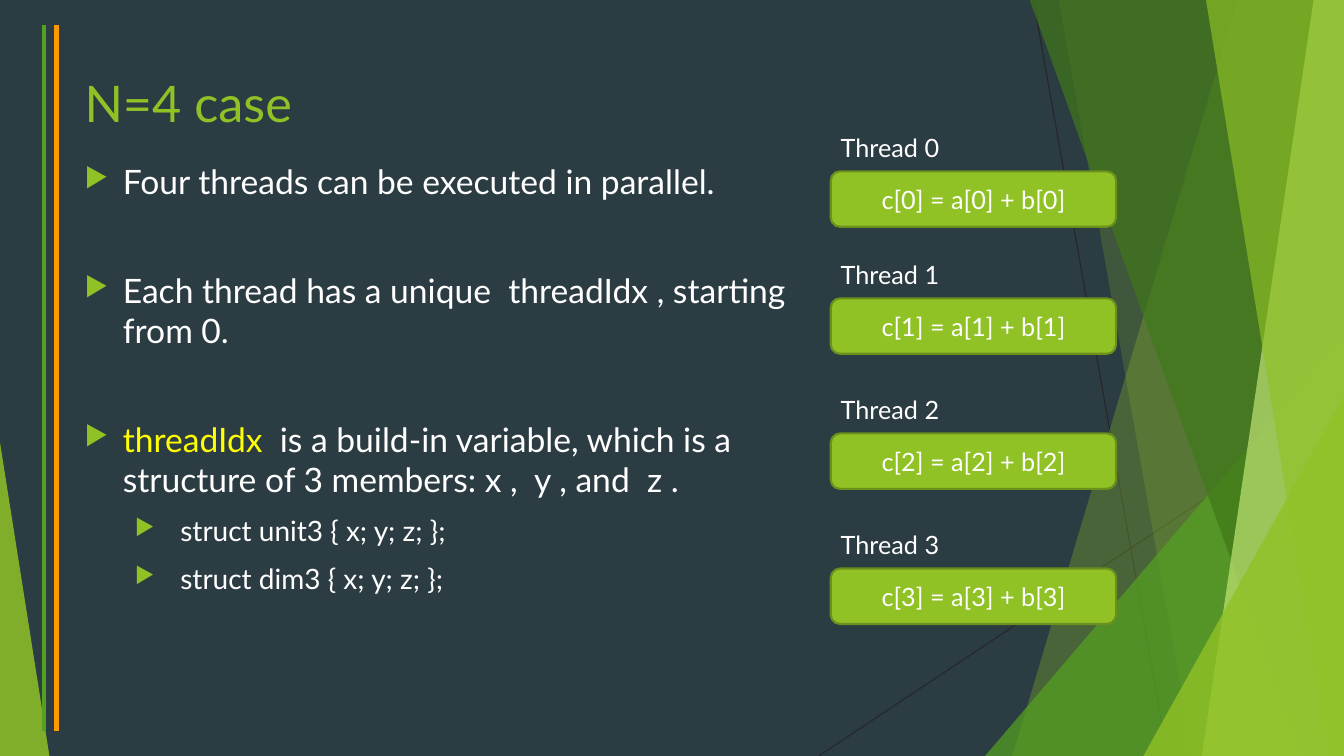
from typing import NamedTuple

from lxml import etree
from pptx import Presentation, util as u
from pptx.dml.color import RGBColor
from pptx.enum import shapes, text
from pptx.oxml.ns import qn

WIDTH, HEIGHT = 13.33, 7.5
FONT = "Lato"
COLOURS = {
    "background": "2C3C43", "lime": "90C226", "green": "54A021",
    "forest": "3F7819", "pale": "C0E474", "border": "6B901C",
    "orange": "FF9900", "yellow": "FFFF00", "white": "FFFFFF", "dark": "262626",
}


class Line(NamedTuple):
    start: tuple[float, float]
    end: tuple[float, float]
    colour: str
    weight: float


class Facet(NamedTuple):
    """A full-height panel between a slanted left side and the right edge."""
    top_x: float
    bottom_x: float
    colour: str
    opacity: int


class Corner(NamedTuple):
    """A right triangle standing on the bottom edge."""
    left: float
    top: float
    width: float
    apex: int
    colour: str
    opacity: int


class Span(NamedTuple):
    words: str
    colour: str = "white"


class Bullet(NamedTuple):
    spans: list[Span]
    size: int = 24
    margin: float = 0.38
    hang: float = 0.38
    before: float = 10


class Thread(NamedTuple):
    number: int
    top: float


SCENERY = [
    Line((10.25, 0), (11.58, HEIGHT), "dark", 0.75),
    Line((WIDTH, 4.03), (8.12, HEIGHT), "dark", 0.75),
    Facet(12.28, 10.04, "lime", 30),
    Facet(10.5, 11.83, "lime", 20),
    Corner(9.77, 3.33, 3.56, 1, "green", 72),
    Facet(10.21, 12.91, "forest", 70),
    Facet(13.03, 11.92, "pale", 70),
    Facet(11.96, 13.18, "lime", 65),
    Corner(11.34, 3.93, 1.99, 1, "lime", 80),
    Corner(0, 4.39, 0.49, 0, "lime", 85),
    Line((0.44, 0.25), (0.44, 7.25), "green", 3),
    Line((0.56, 0.25), (0.56, 7.25), "orange", 3),
]
WIDE_GAP = 48.8
BULLETS = [
    Bullet([Span("Four threads can be executed in parallel.")]),
    Bullet([Span("Each thread has a unique  threadIdx , starting from 0.")],
           before=WIDE_GAP),
    Bullet([Span("threadIdx  ", "yellow"),
            Span("is a build-in variable, which is a structure of 3 members: "
                 "x ,  y , and  z .")], before=WIDE_GAP),
    Bullet([Span("struct unit3 { x; y; z; };")], 20, 0.95, 0.45),
    Bullet([Span("struct dim3 { x; y; z; };")], 20, 0.95, 0.45),
]
THREADS = [Thread(number, top) for number, top in enumerate((1.7, 2.96, 4.3, 5.64))]


def rgb(name: str) -> RGBColor:
    return RGBColor.from_string(COLOURS[name])


def paint(shape, colour: str, opacity: int = 100) -> None:
    shape.shadow.inherit = False
    shape.fill.solid()
    shape.fill.fore_color.rgb = rgb(colour)
    if opacity < 100:
        tint = shape._element.spPr.find(qn("a:solidFill"))[0]
        etree.SubElement(tint, qn("a:alpha"), val=str(opacity * 1000))
    shape.line.fill.background()


def style(span, size: int, colour: str) -> None:
    span.font.name = FONT
    span.font.size = u.Pt(size)
    span.font.color.rgb = rgb(colour)


def draw_line(page, line: Line) -> None:
    ends = [u.Inches(value) for value in line.start + line.end]
    connector = page.shapes.add_connector(shapes.MSO_CONNECTOR.STRAIGHT, *ends)
    connector.line.color.rgb = rgb(line.colour)
    connector.line.width = u.Pt(line.weight)
    etree.SubElement(connector._element.spPr, qn("a:effectLst"))


def draw_facet(page, facet: Facet) -> None:
    top = -0.01
    outline = [(facet.top_x, top), (WIDTH, top), (WIDTH, HEIGHT), (facet.bottom_x, HEIGHT)]
    points = [(u.Inches(x), u.Inches(y)) for x, y in outline]
    builder = page.shapes.build_freeform(*points[0])
    builder.add_line_segments(points[1:], close=True)
    paint(builder.convert_to_shape(), facet.colour, facet.opacity)


def draw_corner(page, corner: Corner) -> None:
    triangle = page.shapes.add_shape(
        shapes.MSO_SHAPE.ISOSCELES_TRIANGLE, u.Inches(corner.left), u.Inches(corner.top),
        u.Inches(corner.width), u.Inches(HEIGHT - corner.top))
    triangle.adjustments[0] = corner.apex
    paint(triangle, corner.colour, corner.opacity)


def add_box(page, left: float, top: float, width: float, height: float):
    box = page.shapes.add_textbox(*map(u.Inches, (left, top, width, height)))
    box.text_frame.word_wrap = True
    return box


def add_label(page, words: str, place: tuple[float, float, float, float],
              size: int, colour: str) -> None:
    frame = add_box(page, *place).text_frame
    frame.text = words
    style(frame.paragraphs[0].runs[0], size, colour)


def write_bullet(para, bullet: Bullet) -> None:
    para.space_before = u.Pt(bullet.before)
    properties = para._p.get_or_add_pPr()
    properties.set("marL", str(u.Inches(bullet.margin)))
    properties.set("indent", str(-u.Inches(bullet.hang)))
    tint = etree.SubElement(properties, qn("a:buClr"))
    etree.SubElement(tint, qn("a:srgbClr"), val=COLOURS["lime"])
    etree.SubElement(properties, qn("a:buSzPct"), val="80000")
    etree.SubElement(properties, qn("a:buChar"), char="▶")
    for part in bullet.spans:
        span = para.add_run()
        span.text = part.words
        style(span, bullet.size, part.colour)


def draw_thread(page, thread: Thread) -> None:
    left, n = 8.24, thread.number
    box = page.shapes.add_shape(
        shapes.MSO_SHAPE.ROUNDED_RECTANGLE,
        *map(u.Inches, (left, thread.top, 2.83, 0.55)))
    paint(box, "lime")
    box.line.color.rgb = rgb("border")
    box.line.width = u.Pt(1.5)
    frame = box.text_frame
    frame.text = f"c[{n}] = a[{n}] + b[{n}]"
    frame.vertical_anchor = text.MSO_ANCHOR.MIDDLE
    para = frame.paragraphs[0]
    para.alignment = text.PP_ALIGN.CENTER
    style(para.runs[0], 18, "white")
    add_label(page, f"Thread {n}", (left, thread.top - 0.44, 1.28, 0.4), 18, "white")


def main() -> None:
    deck = Presentation()
    deck.slide_width, deck.slide_height = u.Inches(WIDTH), u.Inches(HEIGHT)
    page = deck.slides.add_slide(deck.slide_layouts[6])
    page.background.fill.solid()
    page.background.fill.fore_color.rgb = rgb("background")

    # Backdrop
    painters = {Line: draw_line, Facet: draw_facet, Corner: draw_corner}
    for item in SCENERY:
        painters[type(item)](page, item)

    # Title and bullets
    add_label(page, "N=4 case", (0.74, 0.67, 9.4, 1.44), 36, "lime")
    frame = add_box(page, 0.74, 1.55, 7.19, 5.06).text_frame
    for index, bullet in enumerate(BULLETS):
        write_bullet(frame.add_paragraph() if index else frame.paragraphs[0], bullet)

    # Threads
    for thread in THREADS:
        draw_thread(page, thread)

    deck.save("out.pptx")


if __name__ == "__main__":
    main()
